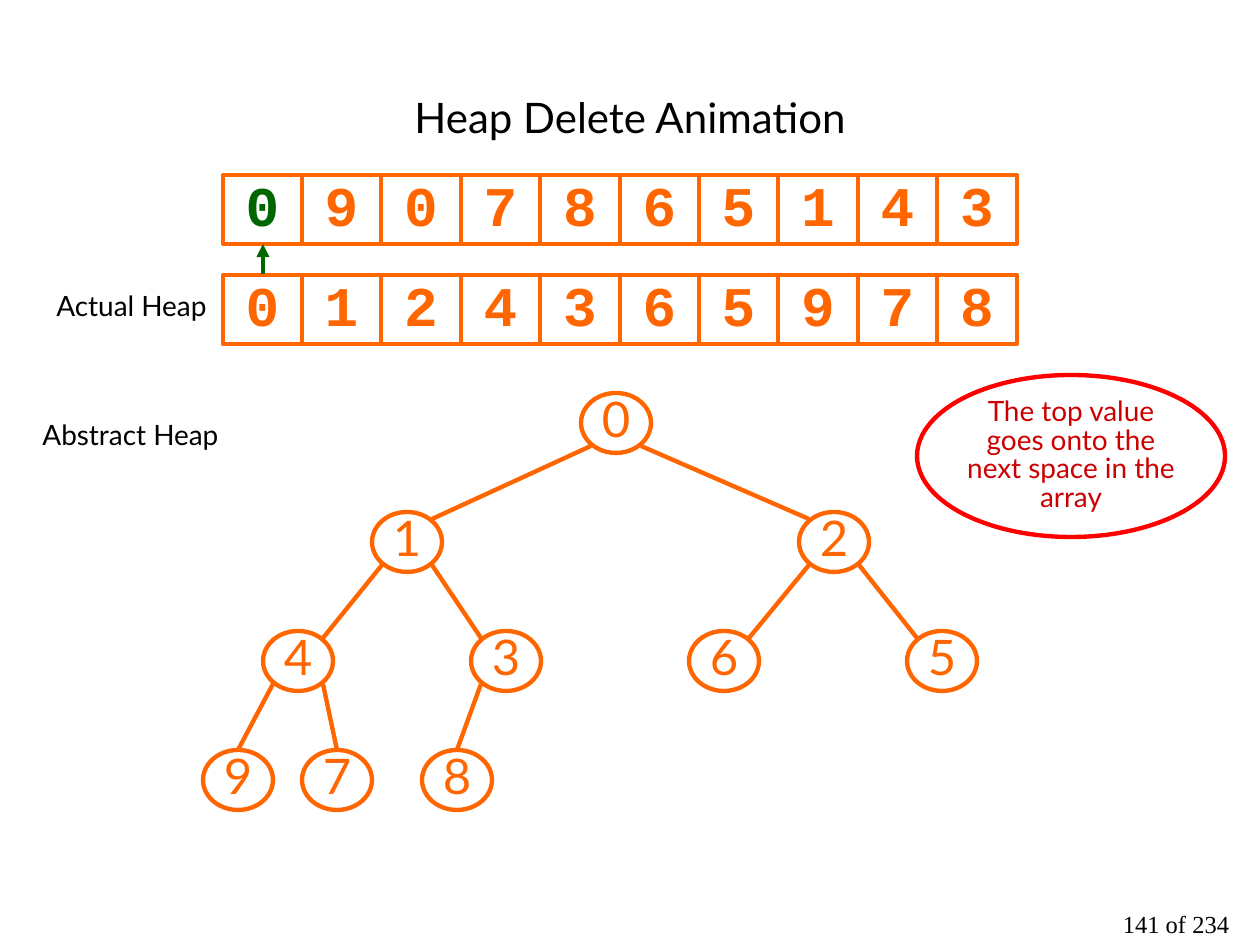
from lxml import etree
from pptx import Presentation
from pptx.dml.color import RGBColor
from pptx.enum.shapes import MSO_CONNECTOR, MSO_SHAPE
from pptx.enum.text import MSO_ANCHOR, PP_ALIGN
from pptx.oxml.ns import qn
from pptx.util import Pt

RECTANGLE, OVAL = MSO_SHAPE.RECTANGLE, MSO_SHAPE.OVAL
STRAIGHT = MSO_CONNECTOR.STRAIGHT
TOP, MIDDLE = MSO_ANCHOR.TOP, MSO_ANCHOR.MIDDLE
CENTER = PP_ALIGN.CENTER
ORANGE = RGBColor(0xFF, 0x66, 0x00)
GREEN = RGBColor(0x00, 0x66, 0x00)
RED = RGBColor(0xFF, 0x00, 0x00)
DARK_RED = RGBColor(0xCC, 0x00, 0x00)
BLACK = RGBColor(0, 0, 0)
SANS, MONO, SERIF = "Lato", "Courier New", "Times New Roman"

TITLE = "Heap Delete Animation"
OUTPUT_ARRAY = [0, 9, 0, 7, 8, 6, 5, 1, 4, 3]
HEAP = [0, 1, 2, 4, 3, 6, 5, 9, 7, 8]
LABELS = [("Actual Heap", (52, 294, 159, 29)), ("Abstract Heap", (38, 423, 185, 29))]
CALLOUT = "The top value goes onto the next space in the array"
PAGE_NUMBER = "141 of 234"

ROW_LEFT, ROW_WIDTH, CELL_HEIGHT = 223, 794, 69
OUTPUT_TOP, HEAP_TOP = 175, 275
NODE_CENTERS = [616, 407, 834, 298, 506, 724, 942, 238, 337, 457]
NODE_WIDTH, NODE_HEIGHT = 70, 60
TREE_TOP, LEVEL_GAP = 423, 119
EDGE_X, EDGE_Y = 25, 23
LAST_LEVEL = 3


def px(count):
    return round(count * 914400 / 126)


def write(shape, text, font, size, color, bold=False, spacing=0.85, anchor=MIDDLE, wrap=True):
    frame = shape.text_frame
    frame.text = text
    frame.word_wrap = wrap
    frame.vertical_anchor = anchor
    frame.margin_left = frame.margin_right = frame.margin_top = frame.margin_bottom = 0
    para = frame.paragraphs[0]
    para.alignment = CENTER
    para.line_spacing = spacing
    for span in para.runs:
        span.font.name, span.font.size, span.font.bold = font, Pt(size), bold
        span.font.color.rgb = color


def add_outline(page, kind, box, color):
    shape = page.shapes.add_shape(kind, *map(px, box))
    shape.shadow.inherit = False
    shape.fill.background()
    shape.line.color.rgb = color
    shape.line.width = Pt(2.5)
    return shape


def add_text(page, text, box, *style, **options):
    write(page.shapes.add_textbox(*map(px, box)), text, *style, anchor=TOP, **options)


def add_line(page, start, end, color, arrow=False):
    line = page.shapes.add_connector(STRAIGHT, *map(px, start + end))
    line.line.color.rgb = color
    line.line.width = Pt(2.5)
    if arrow:
        etree.SubElement(line.line._get_or_add_ln(), qn("a:tailEnd"), type="triangle")
    etree.SubElement(line._element.spPr, qn("a:effectLst"))


def add_array(page, values, top, first_color):
    for index, value in enumerate(values):
        left = ROW_LEFT + ROW_WIDTH * index // len(values)
        right = ROW_LEFT + ROW_WIDTH * (index + 1) // len(values)
        cell = add_outline(page, RECTANGLE, (left, top, right - left, CELL_HEIGHT), ORANGE)
        write(cell, str(value), MONO, 32, ORANGE if index else first_color, bold=True)


def node_place(index):
    level = (index + 1).bit_length() - 1
    return NODE_CENTERS[index], TREE_TOP + LEVEL_GAP * level, level


def add_tree(page):
    for index, value in enumerate(HEAP):
        x, y, level = node_place(index)
        box = (x - NODE_WIDTH // 2, y - NODE_HEIGHT // 2, NODE_WIDTH, NODE_HEIGHT)
        write(add_outline(page, OVAL, box, ORANGE), str(value), SANS, 28, ORANGE, wrap=False)
        if index:
            parent_x, parent_y, _ = node_place((index - 1) // 2)
            reach = EDGE_X if x > parent_x else -EDGE_X
            start = (parent_x + reach, parent_y + EDGE_Y)
            end = (x, y - NODE_HEIGHT // 2) if level == LAST_LEVEL else (x - reach, y - EDGE_Y)
            add_line(page, start, end, ORANGE)


def main():
    deck = Presentation()
    deck.slide_width, deck.slide_height = px(1260), px(945)
    page = deck.slides.add_slide(deck.slide_layouts[5])

    title = page.shapes.title
    title.left, title.top, title.width, title.height = map(px, (63, 38, 1134, 158))
    write(title, TITLE, SANS, 24, BLACK, spacing=1.0)

    add_array(page, OUTPUT_ARRAY, OUTPUT_TOP, GREEN)
    add_array(page, HEAP, HEAP_TOP, ORANGE)
    add_line(page, (263, HEAP_TOP - 1), (263, OUTPUT_TOP + CELL_HEIGHT), GREEN, arrow=True)
    for text, box in LABELS:
        add_text(page, text, box, SANS, 16, BLACK, wrap=False)
    add_tree(page)
    callout = add_outline(page, OVAL, (917, 375, 308, 162), RED)
    write(callout, CALLOUT, SANS, 16, DARK_RED)
    add_text(page, PAGE_NUMBER, (1092, 916, 168, 29), SERIF, 14, BLACK, spacing=0.75)
    deck.save("out.pptx")


if __name__ == "__main__":
    main()
